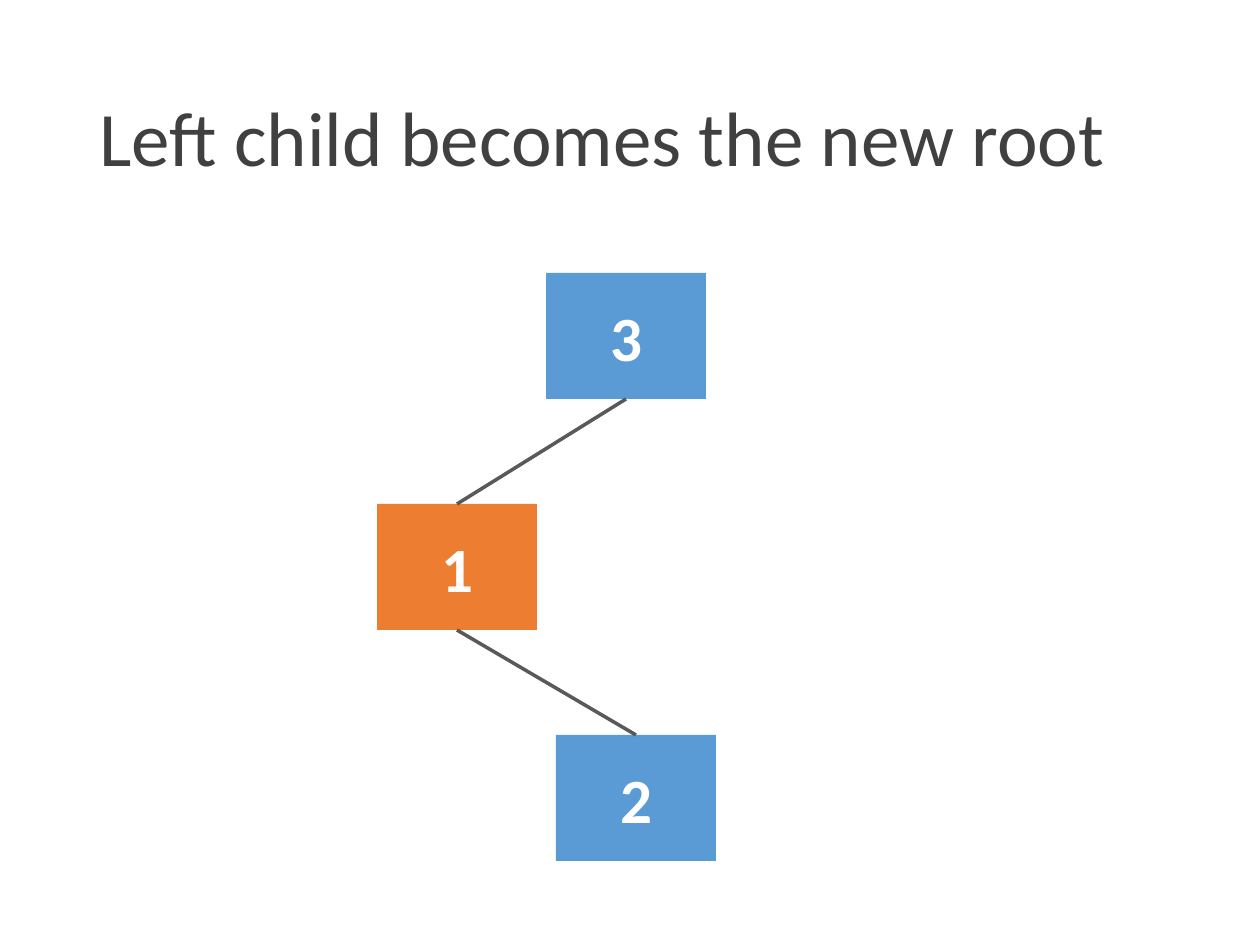
import pptx
import pptx.util
import pptx.dml.color
import pptx.enum.shapes
import pptx.enum.text
import pptx.oxml.ns
import lxml.etree

FONT = "Calibri"
BLUE, ORANGE = "5B9BD5", "ED7D31"
NODE_W, NODE_H = 160, 126
LEVEL_STEP = 231
TOP, BOTTOM = 0, 2


def px(n):
    """Convert pixels, 126 to the inch, to EMU."""
    return pptx.util.Emu(round(n * 914400 / 126))


def rgb(value):
    return pptx.dml.color.RGBColor.from_string(value)


def format_text(tf, size, color, align, bold=False):
    tf.word_wrap = True
    tf.vertical_anchor = pptx.enum.text.MSO_ANCHOR.MIDDLE
    p = tf.paragraphs[0]
    p.alignment = align
    font = p.runs[0].font
    font.name, font.size, font.bold = FONT, pptx.util.Pt(size), bold
    font.color.rgb = rgb(color)


def add_title(slide, text, x, y, w, h):
    title = slide.shapes.title
    title.left, title.top, title.width, title.height = map(px, (x, y, w, h))
    tf = title.text_frame
    tf.text = text
    tf.auto_size = pptx.enum.text.MSO_AUTO_SIZE.NONE
    format_text(tf, 44, "404040", pptx.enum.text.PP_ALIGN.LEFT)
    tf.paragraphs[0].line_spacing = 0.9


def add_node(slide, label, color, x, y):
    sp = slide.shapes.add_shape(pptx.enum.shapes.MSO_SHAPE.RECTANGLE,
                                px(x), px(y), px(NODE_W), px(NODE_H))
    sp.shadow.inherit = False
    sp.fill.solid()
    sp.fill.fore_color.rgb = rgb(color)
    sp.line.fill.background()
    sp.text_frame.text = label
    format_text(sp.text_frame, 36, "FFFFFF",
                pptx.enum.text.PP_ALIGN.CENTER, bold=True)
    return sp


def add_edge(slide, parent, child):
    """Join the bottom of the parent to the top of the child."""
    line = slide.shapes.add_connector(
        pptx.enum.shapes.MSO_CONNECTOR.STRAIGHT, 0, 0, 0, 0)
    line.begin_connect(parent, BOTTOM)
    line.end_connect(child, TOP)
    line.line.color.rgb = rgb("595959")
    line.line.width = pptx.util.Pt(2)
    lxml.etree.SubElement(line._element.spPr,
                          pptx.oxml.ns.qn("a:effectLst"))


def add_tree(slide, nodes, x, y):
    """Place one node per level, each joined to the node above it."""
    parent = None
    for level, (label, color, dx) in enumerate(nodes):
        node = add_node(slide, label, color, x + dx, y + level * LEVEL_STEP)
        if parent is not None:
            add_edge(slide, parent, node)
        parent = node


def main():
    prs = pptx.Presentation()
    prs.slide_width, prs.slide_height = px(1260), px(945)
    slide = prs.slides.add_slide(prs.slide_layouts[5])
    add_title(slide, "Left child becomes the new root", 87, 50, 1086, 183)
    nodes = [("3", BLUE, 169), ("1", ORANGE, 0), ("2", BLUE, 179)]
    add_tree(slide, nodes, 377, 273)
    prs.save("out.pptx")


if __name__ == "__main__":
    main()
